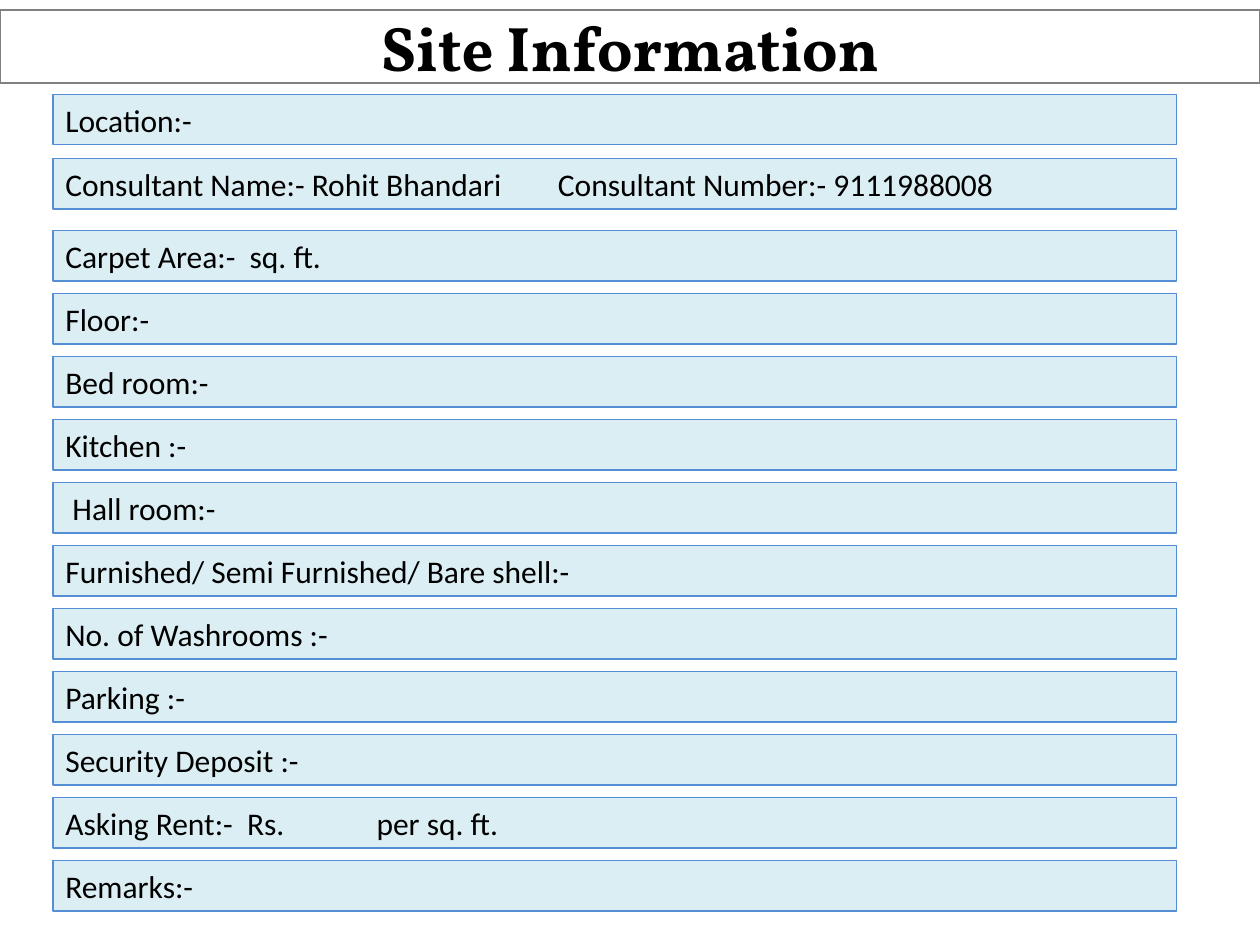
from lxml.etree import SubElement
from pptx import Presentation
from pptx.dml.color import RGBColor
from pptx.enum.text import MSO_ANCHOR as Anchor, MSO_AUTO_SIZE as AutoSize, PP_ALIGN as Align
from pptx.oxml.ns import qn
from pptx.util import Inches, Pt

BLACK = RGBColor(0x00, 0x00, 0x00)
WHITE = RGBColor(0xFF, 0xFF, 0xFF)
GREY = RGBColor(0x80, 0x80, 0x80)
PALE_BLUE = RGBColor(0xDB, 0xEE, 0xF4)
BLUE = RGBColor(0x55, 0x8E, 0xD5)

# Field rows: text and, where a tab is used, its stop in inches
HEAD_FIELDS = [
    (0.75, "Location:-", None),
    (1.26, "Consultant Name:- Rohit Bhandari\tConsultant Number:- 9111988008", 3.91),
]
DETAIL_FIELDS = [
    ("Carpet Area:-  sq. ft.", None),
    ("Floor:-", None),
    ("Bed room:-", None),
    ("Kitchen :-", None),
    (" Hall room:-", None),
    ("Furnished/ Semi Furnished/ Bare shell:-", None),
    ("No. of Washrooms :-", None),
    ("Parking :-", None),
    ("Security Deposit :-", None),
    ("Asking Rent:-  Rs.\tper sq. ft.", 2.47),
    ("Remarks:-", None),
]
DETAIL_TOP, DETAIL_STEP = 1.83, 0.5


class SiteForm:
    """Holds the form's style and the current slide."""

    title_font, title_size = "Vollkorn", Pt(36)
    field_font, field_size = "Calibri", Pt(18)
    left, width, height = Inches(0.42), Inches(8.92), Inches(0.4)

    def __init__(self, deck):
        self.page = deck.slides.add_slide(deck.slide_layouts[5])

    def paint(self, box, fill, line):
        box.fill.solid()
        box.fill.fore_color.rgb = fill
        box.line.color.rgb = line
        box.line.width = Pt(0.75)

    def add_span(self, para, text, font, size, bold=False):
        span = para.add_run()
        span.text = text
        span.font.name = font
        span.font.size = size
        span.font.bold = bold
        span.font.color.rgb = BLACK

    def title(self, text):
        box = self.page.shapes.title
        box.left, box.top = Inches(0), Inches(0.08)
        box.width, box.height = Inches(10), Inches(0.58)
        self.paint(box, WHITE, GREY)
        frame = box.text_frame
        frame.auto_size = AutoSize.NONE
        frame.vertical_anchor = Anchor.MIDDLE
        para = frame.paragraphs[0]
        para.alignment = Align.CENTER
        self.add_span(para, text, self.title_font, self.title_size, bold=True)

    def field(self, top, text, tab_stop=None):
        box = self.page.shapes.add_textbox(self.left, Inches(top), self.width, self.height)
        self.paint(box, PALE_BLUE, BLUE)
        frame = box.text_frame
        frame.word_wrap = True
        frame.auto_size = AutoSize.SHAPE_TO_FIT_TEXT
        para = frame.paragraphs[0]
        para.alignment = Align.LEFT
        if tab_stop:
            tabs = SubElement(para._p.get_or_add_pPr(), qn("a:tabLst"))
            SubElement(tabs, qn("a:tab"), pos=str(Inches(tab_stop)), algn="l")
        self.add_span(para, text, self.field_font, self.field_size)


def main():
    deck = Presentation()
    deck.slide_width, deck.slide_height = Inches(10), Inches(7.5)
    form = SiteForm(deck)

    # Heading
    form.title("Site Information")

    # Location and consultant
    for top, text, tab_stop in HEAD_FIELDS:
        form.field(top, text, tab_stop)

    # Property details, evenly spaced
    for index, (text, tab_stop) in enumerate(DETAIL_FIELDS):
        form.field(DETAIL_TOP + index * DETAIL_STEP, text, tab_stop)

    deck.save("out.pptx")


if __name__ == "__main__":
    main()
